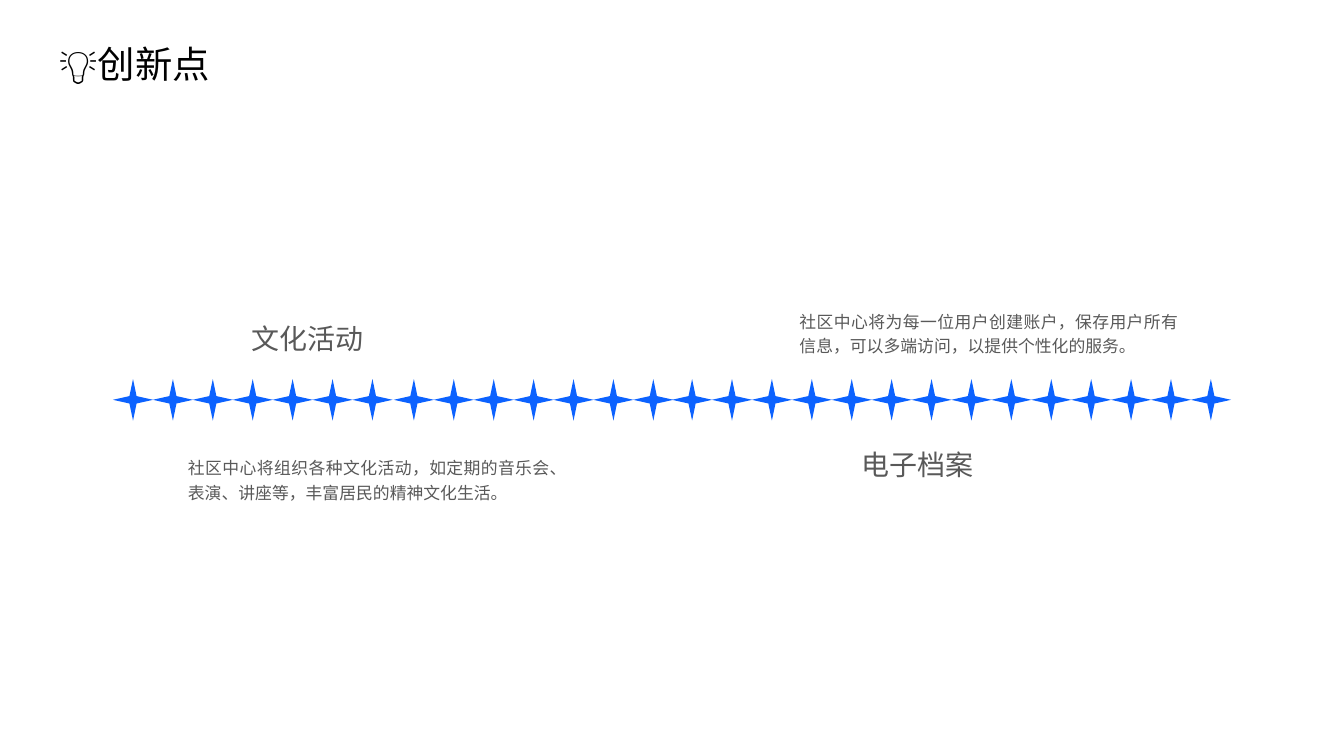
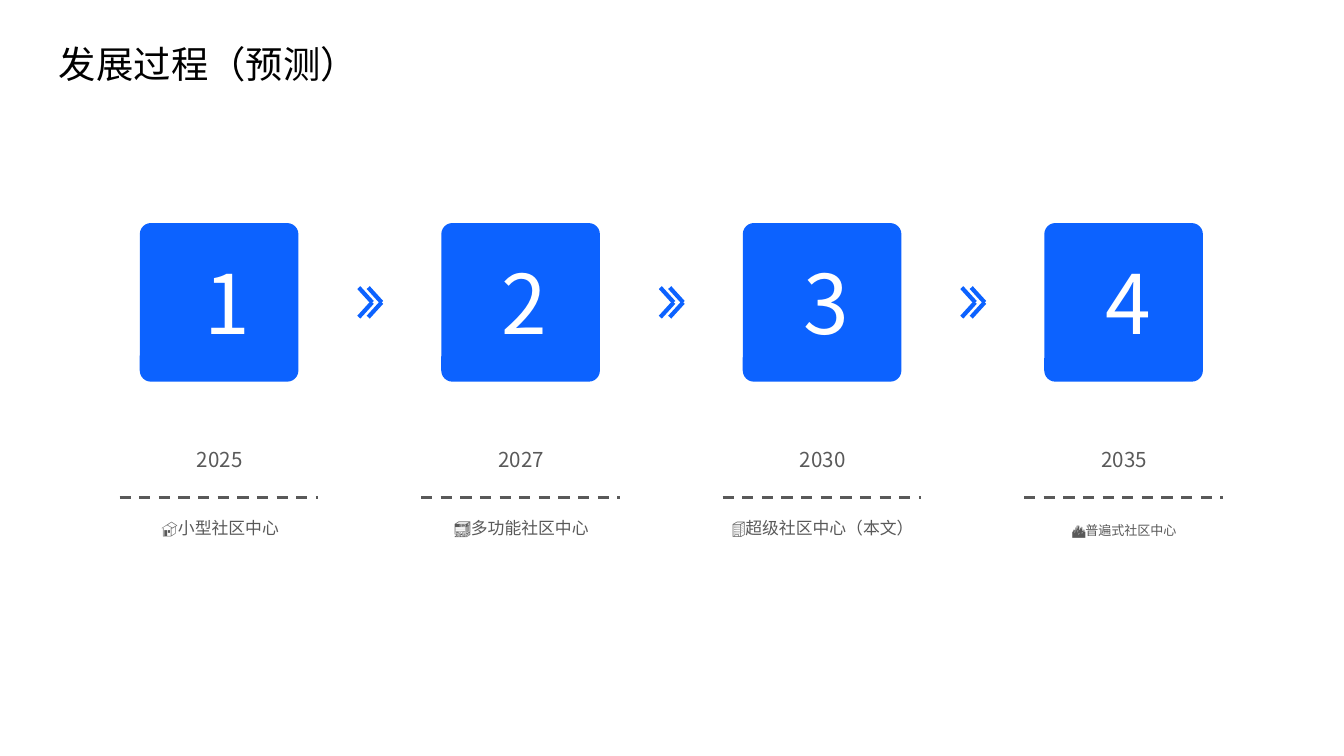
from lxml import etree
from pptx import Presentation
from pptx.dml.color import RGBColor
from pptx.enum.dml import MSO_LINE
from pptx.enum.shapes import MSO_CONNECTOR, MSO_SHAPE
from pptx.enum.text import MSO_AUTO_SIZE, PP_ALIGN
from pptx.oxml.ns import qn
from pptx.util import Inches, Pt

FONT = "Noto Sans CJK SC"
COLORS = {"blue": "0C62FF", "grey": "595959", "black": "000000", "white": "FFFFFF"}
STAR_PITCH = (8.86 - 5) / 13
STEP_PITCH = (7.77 - 1.04) / 3
IDEAS = [
    ("文化活动", 1.77, 2.34,
     "社区中心将组织各种文化活动，如定期的音乐会、表演、讲座等，丰富居民的精神文化生活。", 1.3, 3.33),
    ("电子档案", 6.31, 3.28,
     "社区中心将为每一位用户创建账户，保存用户所有信息，可以多端访问，以提供个性化的服务。", 5.85, 2.24),
]
STEPS = [
    ("1", 0.42, "2025", "🏠小型社区中心", 9),
    ("2", 0.48, "2027", "🏬多功能社区中心", 9),
    ("3", 0.47, "2030", "🏢超级社区中心（本文）", 9),
    ("4", 0.47, "2035", "🏙普遍式社区中心", 7),
]


def rgb(name):
    """Return a palette colour."""
    return RGBColor.from_string(COLORS[name])


def add_text(shapes, text, x, y, w, h, size, color="grey", align=None, spacing=None, wrap=True):
    """Add a one-paragraph text box."""
    tf = shapes.add_textbox(Inches(x), Inches(y), Inches(w), Inches(h)).text_frame
    tf.word_wrap = wrap
    tf.auto_size = MSO_AUTO_SIZE.SHAPE_TO_FIT_TEXT
    p = tf.paragraphs[0]
    p.text = text
    p.alignment = align
    p.line_spacing = spacing
    font = p.font
    font.size = Pt(size)
    font.color.rgb = rgb(color)
    font.name = FONT
    etree.SubElement(p._p.pPr.find(qn("a:defRPr")), qn("a:ea")).set("typeface", FONT)


def add_block(shapes, kind, x, y, w, h):
    """Add a plain blue preset shape."""
    sp = shapes.add_shape(kind, Inches(x), Inches(y), Inches(w), Inches(h))
    sp.shadow.inherit = False
    sp.fill.solid()
    sp.fill.fore_color.rgb = rgb("blue")
    sp.line.fill.background()
    return sp


def add_line(shapes, x1, y1, x2, y2, color, width, dash=None):
    """Add a straight line without a shadow."""
    ln = shapes.add_connector(MSO_CONNECTOR.STRAIGHT, Inches(x1), Inches(y1), Inches(x2), Inches(y2))
    ln.line.color.rgb = rgb(color)
    ln.line.width = Pt(width)
    ln.line.dash_style = dash
    etree.SubElement(ln._element.spPr, qn("a:effectLst"))


def add_slide(prs, title, width):
    """Add a blank slide with its title."""
    s = prs.slides.add_slide(prs.slide_layouts[6])
    add_text(s.shapes, title, 0.34, 0.26, width, 0.44, 20, "black", wrap=False)
    return s


def add_stars(s):
    """Add the row of stars as one group."""
    shapes = s.shapes.add_group_shape().shapes
    for left, count in ((5, 14), (2.93, 7), (0.84, 7)):
        for i in range(count):
            add_block(shapes, MSO_SHAPE.STAR_4_POINT, left + i * STAR_PITCH, 2.82, 0.3, 0.31)


def add_chevrons(s, x):
    """Add a double chevron drawn with four lines."""
    shapes = s.shapes.add_group_shape().shapes
    for left in (x, x + 0.07):
        add_line(shapes, left, 2.36, left + 0.1, 2.25, "blue", 2.25)
        add_line(shapes, left + 0.1, 2.25, left, 2.14, "blue", 2.25)


def add_step(s, x, number, number_width, year, caption, size):
    """Add a numbered tile with its year, rule and caption."""
    mid = x + 0.59
    shapes = s.shapes.add_group_shape().shapes
    tile = add_block(shapes, MSO_SHAPE.ROUNDED_RECTANGLE, x, 1.66, 1.18, 1.18)
    tile.adjustments[0] = 0.07
    add_text(shapes, number, mid - number_width / 2, 1.83, number_width, 0.84, 44, "white", wrap=False)
    shapes = s.shapes.add_group_shape().shapes
    add_text(shapes, caption, x - 0.45, 3.76, 2.09, 0.28, size, align=PP_ALIGN.CENTER, spacing=Pt(14))
    add_text(shapes, year, x - 0.26, 3.28, 1.71, 0.29, 11, align=PP_ALIGN.CENTER)
    add_line(shapes, mid - 0.74, 3.7, mid + 0.74, 3.7, "grey", 1.5, MSO_LINE.DASH)


def build_ideas(prs):
    """Build the slide of new ideas."""
    s = add_slide(prs, "💡创新点", 1.43)
    add_stars(s)
    for head, hx, hy, body, bx, by in IDEAS:
        add_text(s.shapes, head, hx, hy, 2.08, 0.35, 15, align=PP_ALIGN.JUSTIFY)
        add_text(s.shapes, body, bx, by, 3.01, 0.45, 9, align=PP_ALIGN.JUSTIFY, spacing=1.2)


def build_process(prs):
    """Build the slide of development steps."""
    s = add_slide(prs, "发展过程（预测）", 2.45)
    for i, step in enumerate(STEPS):
        x = 1.04 + i * STEP_PITCH
        add_step(s, x, *step)
        if i < len(STEPS) - 1:
            add_chevrons(s, x + 1.63)


def main():
    """Build and save the presentation."""
    prs = Presentation()
    prs.slide_width = Inches(10)
    prs.slide_height = Inches(10 * 9 / 16)
    build_ideas(prs)
    build_process(prs)
    prs.save("out.pptx")


if __name__ == "__main__":
    main()
